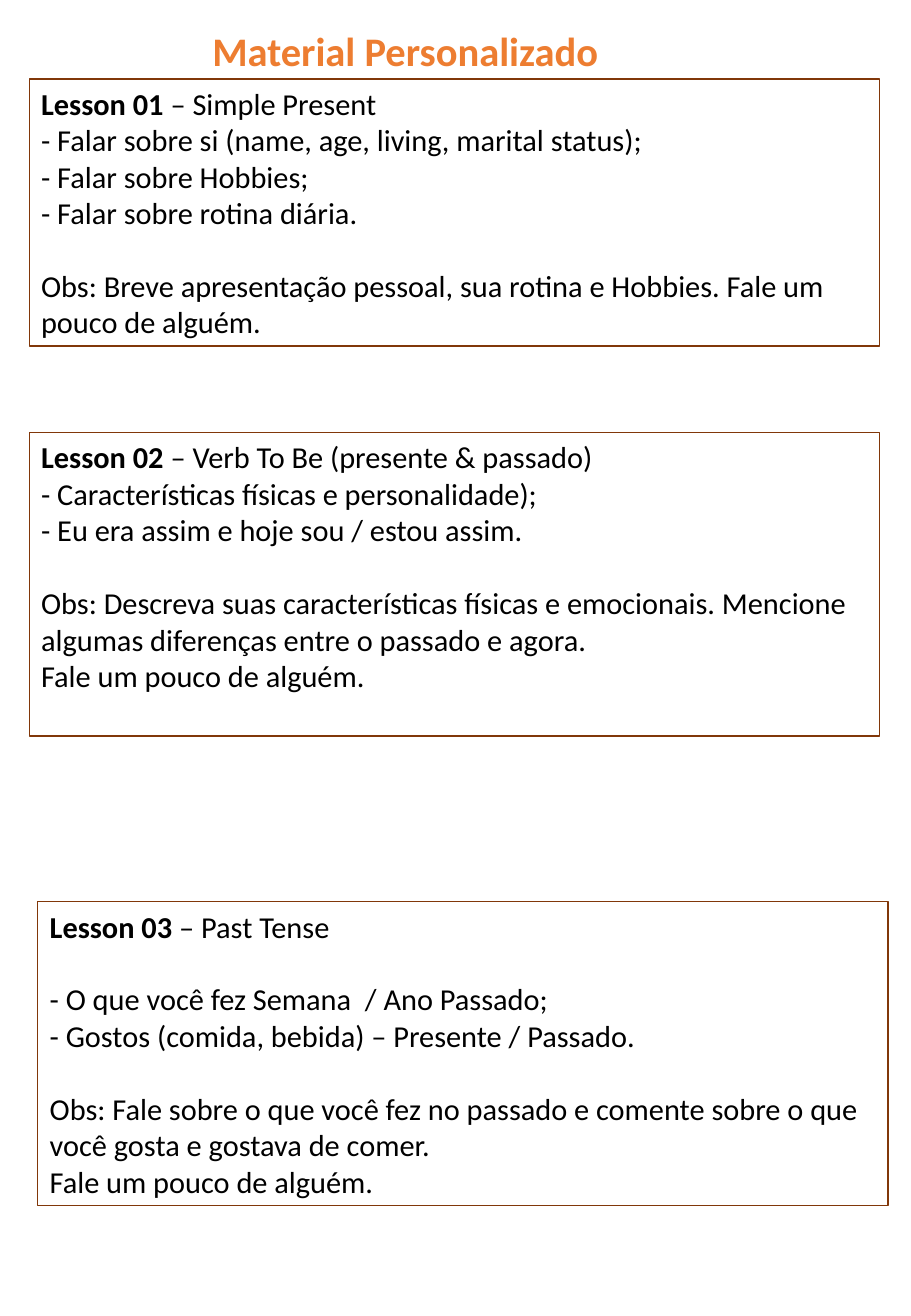
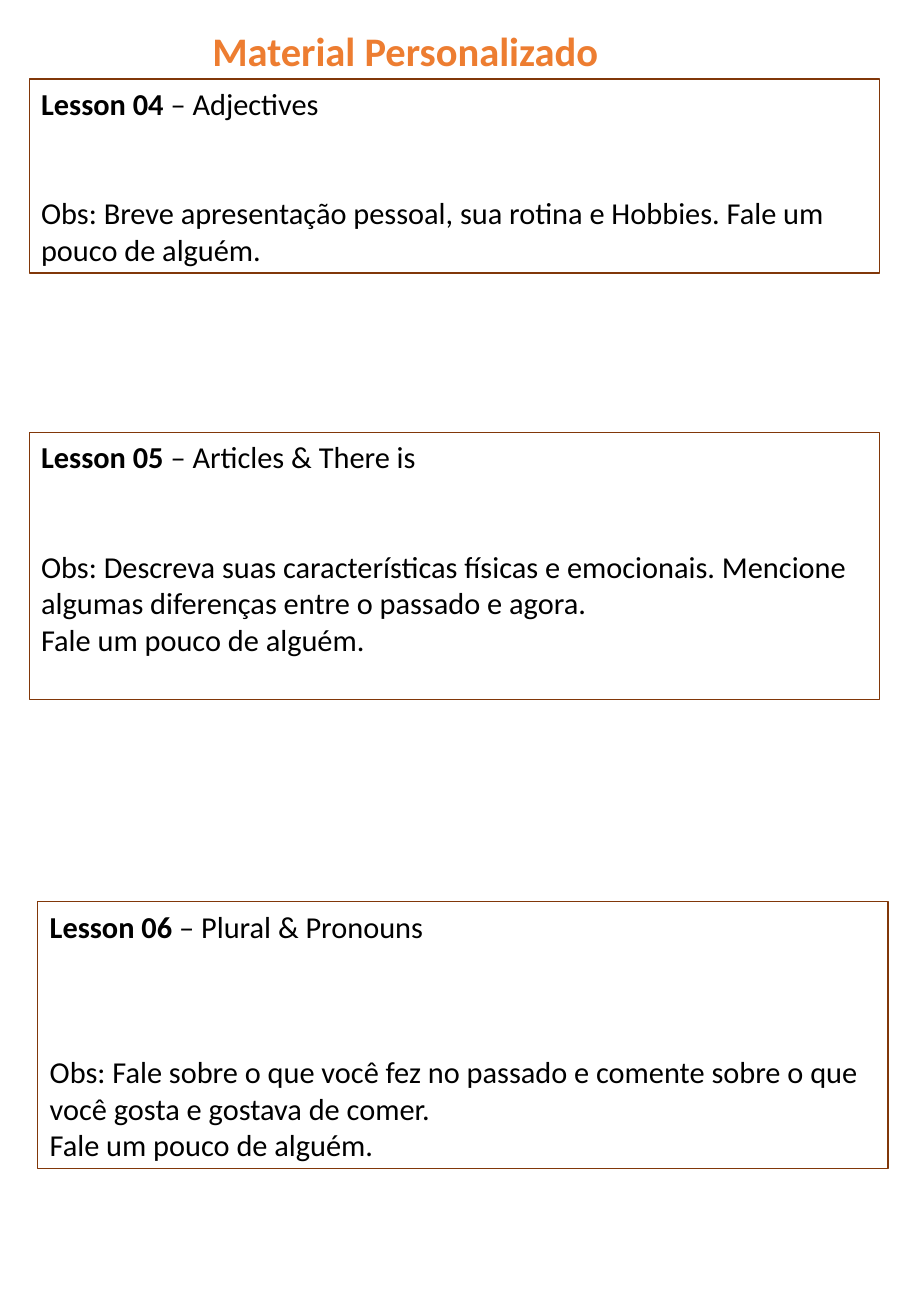
import pptx
import pptx.dml.color
import pptx.enum.shapes
import pptx.enum.text
import pptx.util

Cm, Pt = pptx.util.Cm, pptx.util.Pt


def tint(code):
    return pptx.dml.color.RGBColor.from_string(code)


class Sheet:
    """Holds the shared style and the current slide."""
    base = {"name": "Calibri", "size": Pt(18), "bold": False}
    head = {"name": "Calibri", "size": Pt(24), "bold": True}
    ink, accent, edge = "000000", "ED7D31", "813709"
    pitch = 21.6  # points from one line of text to the next

    def __init__(self):
        self.deck = pptx.Presentation()
        self.deck.slide_width, self.deck.slide_height = Cm(19.05), Cm(27.51)

    def page(self):
        self.slide = self.deck.slides.add_slide(self.deck.slide_layouts[6])
        self.title("Material Personalizado")

    def label(self, para, text, style, color, **extra):
        run = para.add_run()
        run.text = text
        for key, value in {**style, **extra}.items():
            setattr(run.font, key, value)
        run.font.color.rgb = tint(color)

    def title(self, text):
        box = self.slide.shapes.add_textbox(Cm(4.19), Cm(0.41), Cm(10.24), Cm(1.27))
        box.text_frame.word_wrap = True
        self.label(box.text_frame.paragraphs[0], text, self.head, self.accent)

    def frame(self, left, top, rows):
        rect = pptx.enum.shapes.MSO_SHAPE.RECTANGLE
        high = 0.25 + 0.762 * rows
        box = self.slide.shapes.add_shape(rect, Cm(left), Cm(top), Cm(17.78), Cm(high))
        box.shadow.inherit = False
        box.fill.background()
        box.line.color.rgb = tint(self.edge)
        box.line.width = Pt(0.75)
        box.text_frame.word_wrap = True
        box.text_frame.vertical_anchor = pptx.enum.text.MSO_ANCHOR.TOP
        return box.text_frame

    def lesson(self, spot, number, topic, rows, lines):
        """Each line is a pair: empty lines above it, and its text."""
        left, top = spot
        body = self.frame(left, top, rows)
        para = body.paragraphs[0]
        para.alignment = pptx.enum.text.PP_ALIGN.LEFT
        self.label(para, f"Lesson {number:02d} ", self.base, self.ink, bold=True)
        self.label(para, f"– {topic}", self.base, self.ink)
        for gap, text in lines:
            para = body.add_paragraph()
            para.alignment = pptx.enum.text.PP_ALIGN.LEFT
            para.space_before = Pt(gap * self.pitch)
            self.label(para, text, self.base, self.ink)


# Places and closing notes, the same on every page
spots = [(0.61, 1.65), (0.61, 9.04), (0.79, 18.85)]
other = "Fale um pouco de alguém."
notes = [
    ["Obs: Breve apresentação pessoal, sua rotina e Hobbies. " + other],
    ["Obs: Descreva suas características físicas e emocionais. "
     "Mencione algumas diferenças entre o passado e agora.", other],
    ["Obs: Fale sobre o que você fez no passado e comente sobre "
     "o que você gosta e gostava de comer.", other],
]

# Lessons by page: topic, rows in the frame, points, empty lines above the note
pages = [
    [
        ("Simple Present", 7, [
            (0, "- Falar sobre si (name, age, living, marital status);"),
            (0, "- Falar sobre Hobbies;"),
            (0, "- Falar sobre rotina diária."),
        ], 1),
        ("Verb To Be (presente & passado)", 8, [
            (0, "- Características físicas e personalidade);"),
            (0, "- Eu era assim e hoje sou / estou assim."),
        ], 1),
        ("Past Tense", 8, [
            (1, "- O que você fez Semana  / Ano Passado;"),
            (0, "- Gostos (comida, bebida) – Presente / Passado."),
        ], 1),
    ],
    [
        ("Adjectives", 5, [], 2),
        ("Articles & There is", 7, [], 2),
        ("Plural & Pronouns", 7, [], 3),
    ],
]

# Build the pages
sheet = Sheet()
number = 0
for page in pages:
    sheet.page()
    for spot, note, (topic, rows, points, gap) in zip(spots, notes, page):
        number += 1
        lines = points + [(gap, note[0])] + [(0, text) for text in note[1:]]
        sheet.lesson(spot, number, topic, rows, lines)

sheet.deck.save("out.pptx")
